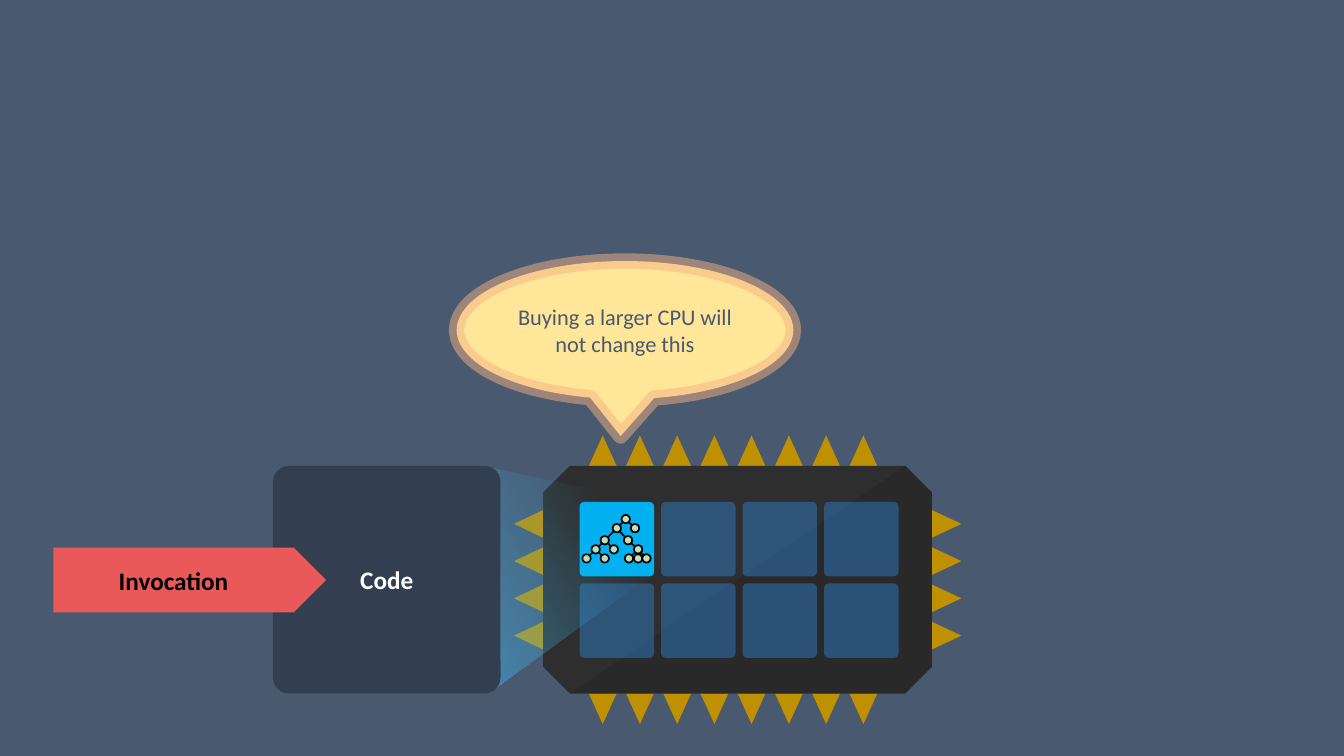
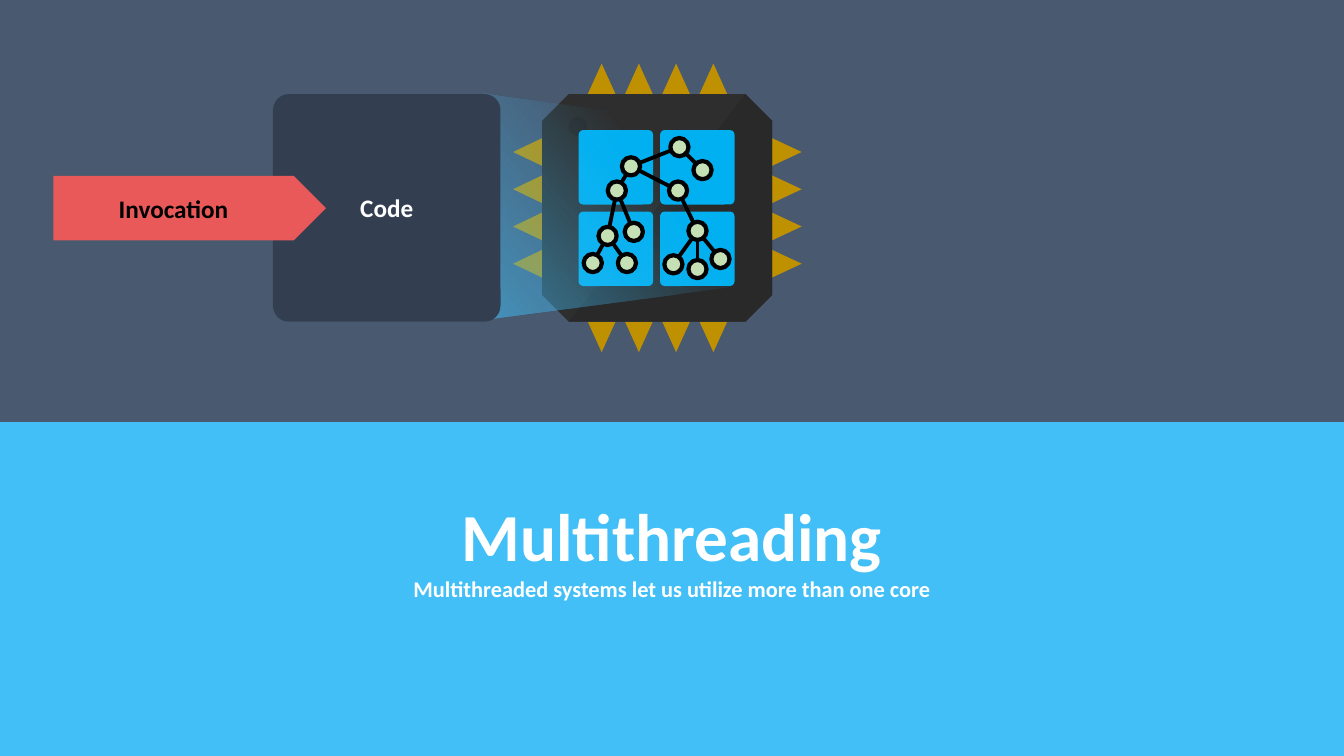
"""Builds two slides that show how code runs on the cores of a processor."""
import math
from pptx import Presentation, util as u
from pptx.dml.color import RGBColor
from pptx.enum import shapes, text
from pptx.oxml.ns import qn
from lxml import etree

COLORS = {
    "page": "485970", "pin": "BF9000", "chip": "2E2E2E", "shade": "292929",
    "idle": "2E75B6", "busy": "00B0F0", "node": "C5E0B4", "black": "000000",
    "white": "FFFFFF", "sky": "43BFF7", "code": "333F50", "call": "E95959",
    "bubble": "FFE699", "rim": "F4B183",
}
FONT = "Calibri"
KIND = shapes.MSO_SHAPE
CHIP_HEIGHT, CHIP_CUT = 162.6, 19
PIN_WIDTH, PIN_HEIGHT, PIN_PITCH = 19.8, 21.8, 26.6
CORE_SIZE, CORE_PITCH = 53.2, 58.2
TREE_EDGES = [(0, 1), (0, 2), (1, 3), (1, 4), (3, 5), (3, 6),
              (5, 8), (5, 9), (4, 7), (7, 10), (7, 11), (7, 12)]


def rgb(name):
    return RGBColor.from_string(COLORS[name])


def set_alpha(element, percent):
    for color in element.iter(qn("a:srgbClr")):
        etree.SubElement(color, qn("a:alpha"), val=str(percent * 1000))


def write(shape, content, size=18, color="white", bold=True):
    frame = shape.text_frame
    frame.word_wrap = True
    frame.vertical_anchor = text.MSO_ANCHOR.MIDDLE
    para = frame.paragraphs[0]
    para.alignment = text.PP_ALIGN.CENTER
    if para.runs:
        para.add_line_break()
    span = para.add_run()
    span.text = content
    span.font.name, span.font.size, span.font.bold = FONT, u.Pt(size), bold
    span.font.color.rgb = rgb(color)


class Painter:
    def __init__(self, deck):
        self.deck = deck
        self.page = None

    def new_page(self):
        self.page = self.deck.slides.add_slide(self.deck.slide_layouts[6])
        fill = self.page.background.fill
        fill.solid()
        fill.fore_color.rgb = rgb("page")

    def paint(self, shape, color):
        shape.shadow.inherit = False
        shape.fill.solid()
        shape.fill.fore_color.rgb = rgb(color)
        shape.line.fill.background()
        return shape

    def outline(self, shape, color, width):
        shape.line.color.rgb = rgb(color)
        shape.line.width = u.Pt(width)

    def shape(self, kind, left, top, width, height, color, adjust=()):
        shape = self.page.shapes.add_shape(kind, *map(u.Pt, (left, top, width, height)))
        for index, value in enumerate(adjust):
            shape.adjustments[index] = value
        return self.paint(shape, color)

    def polygon(self, contours, color):
        contours = [[(u.Pt(x), u.Pt(y)) for x, y in contour] for contour in contours]
        builder = self.page.shapes.build_freeform(*contours[0][0])
        for index, (start, *rest) in enumerate(contours):
            if index:
                builder.move_to(*start)
            builder.add_line_segments(rest, close=True)
        return self.paint(builder.convert_to_shape(), color)

    def line(self, start, end, width):
        line = self.page.shapes.add_connector(
            shapes.MSO_CONNECTOR.STRAIGHT, *map(u.Pt, (*start, *end)))
        self.outline(line, "black", width)
        etree.SubElement(line._element.spPr, qn("a:effectLst"))

    def pins(self, left, top, width, columns, joined):
        right, bottom = left + width, top + CHIP_HEIGHT
        half = PIN_WIDTH / 2
        pins = []
        for index in range(columns * 2):
            x = left + 42.5 + index * PIN_PITCH
            for base, tip in ((top, top - PIN_HEIGHT), (bottom, bottom + PIN_HEIGHT)):
                pins.append([(x, tip), (x + half, base), (x - half, base)])
        for index in range(4):
            y = top + 41.4 + index * PIN_PITCH
            for base, tip in ((left, left - PIN_HEIGHT + 1), (right, right + PIN_HEIGHT - 0.6)):
                pins.append([(tip, y), (base, y - half), (base, y + half)])
        for contours in [pins] if joined else [[pin] for pin in pins]:
            self.polygon(contours, "pin")

    def body(self, left, top, width):
        right, bottom = left + width, top + CHIP_HEIGHT
        self.shape(KIND.OCTAGON, left, top, width, CHIP_HEIGHT, "chip", [0.117])
        self.polygon([[(left + CHIP_CUT, bottom), (right - CHIP_CUT, top),
                       (right, top + CHIP_CUT), (right, bottom - CHIP_CUT),
                       (right - CHIP_CUT, bottom)]], "shade")

    def cores(self, left, top, columns, busy):
        for index in range(columns * 2):
            row, column = divmod(index, columns)
            core = self.shape(
                KIND.ROUNDED_RECTANGLE, left + 26 + column * CORE_PITCH,
                top + 25.7 + row * CORE_PITCH, CORE_SIZE, CORE_SIZE,
                "busy" if index < busy else "idle", [0.062])
            if index >= busy:
                set_alpha(core._element.spPr, 55)

    def tree(self, nodes, size, edge_width, rim_width):
        for first, second in TREE_EDGES:
            (x1, y1), (x2, y2) = nodes[first], nodes[second]
            trim = size / 2 / math.hypot(x2 - x1, y2 - y1)
            dx, dy = (x2 - x1) * trim, (y2 - y1) * trim
            self.line((x1 + dx, y1 + dy), (x2 - dx, y2 - dy), edge_width)
        for x, y in nodes:
            node = self.shape(KIND.OVAL, x - size / 2, y - size / 2, size, size, "node")
            self.outline(node, "black", rim_width)

    def beam(self, points, angle, alpha, reach):
        beam = self.polygon([points], "sky")
        beam.fill.gradient()
        beam.fill.gradient_angle = angle
        stops = beam.fill.gradient_stops
        for stop, position, percent in zip(stops, (0, reach), (alpha, 0)):
            stop.position = position
            stop.color.rgb = rgb("sky")
            set_alpha(stop._gs, percent)

    def code(self, top):
        block = self.shape(KIND.ROUNDED_RECTANGLE, 195, top, 162.5, CHIP_HEIGHT, "code", [0.07])
        write(block, "Code")
        arrow = self.shape(KIND.RIGHT_ARROW, 38.1, top + 58.4, 194.8, 46.2, "call", [1, 0.5])
        write(arrow, "Invocation", color="black")

    def bubble(self, content):
        bubble = self.shape(KIND.OVAL_CALLOUT, 326.2, 186.5, 240.5, 98.6,
                            "bubble", [-0.013, 0.768])
        self.outline(bubble, "rim", 11)
        set_alpha(bubble.line._ln, 50)
        write(bubble, content, size=16, color="page", bold=False)

    def band(self, title, subtitle):
        band = self.shape(KIND.RECTANGLE, 0, 301.5, 960, 238.5, "sky")
        band.text_frame.margin_bottom = u.Pt(62)
        write(band, title, size=48)
        write(band, subtitle, size=16)


def single_core(painter):
    left, top, width = 388, 332.8, 277.6
    painter.new_page()
    painter.pins(left, top, width, columns=4, joined=False)
    painter.body(left, top, width)
    painter.cores(left, top, columns=4, busy=1)
    painter.tree([(447, 370.8), (440.6, 377.3), (453.6, 377.3), (432, 385.9),
                  (448.6, 385.9), (425.5, 392.4), (438.5, 392.4), (455.8, 392.4),
                  (419, 398.9), (432, 398.9), (449.3, 398.9), (455.8, 398.9),
                  (461.8, 398.9)], size=6, edge_width=1.25, rim_width=1.25)
    painter.beam([(347.8, 333.4), (463.7, 358.6), (465.8, 359.3), (466.6, 361.4),
                  (466.6, 408.2), (465.8, 410.4), (463.7, 411.8), (350.6, 494.6)],
                 angle=30, alpha=45, reach=0.76)
    painter.code(top)
    painter.bubble("Buying a larger CPU will not change this")


def multithreading(painter):
    left, top, width = 387.3, 67.2, 164.2
    painter.new_page()
    painter.pins(left, top, width, columns=2, joined=True)
    painter.body(left, top, width)
    painter.shape(KIND.OVAL, 406.1, 83.5, 13.7, 13.7, "shade")
    painter.cores(left, top, columns=2, busy=4)
    painter.beam([(346.3, 67), (520.6, 91.4), (523.4, 93.6), (524.9, 98.6),
                  (524.9, 198), (523.4, 203), (520.6, 205.2), (347.8, 228.2)],
                 angle=40, alpha=56, reach=0.68)
    painter.code(top)
    painter.tree([(485.3, 105.1), (450.7, 118.8), (501.8, 121.5), (440.6, 136.1),
                  (484.3, 136.1), (434, 168.5), (452.7, 165.6), (498.2, 164.9),
                  (423.4, 187.9), (447.8, 187.9), (481, 188.8), (498.2, 192.2),
                  (514.6, 185)], size=13, edge_width=2.75, rim_width=3)
    painter.band("Multithreading", "Multithreaded systems let us utilize more than one core")


deck = Presentation()
deck.slide_width, deck.slide_height = u.Pt(960), u.Pt(540)
artist = Painter(deck)
single_core(artist)
multithreading(artist)
deck.save("out.pptx")
